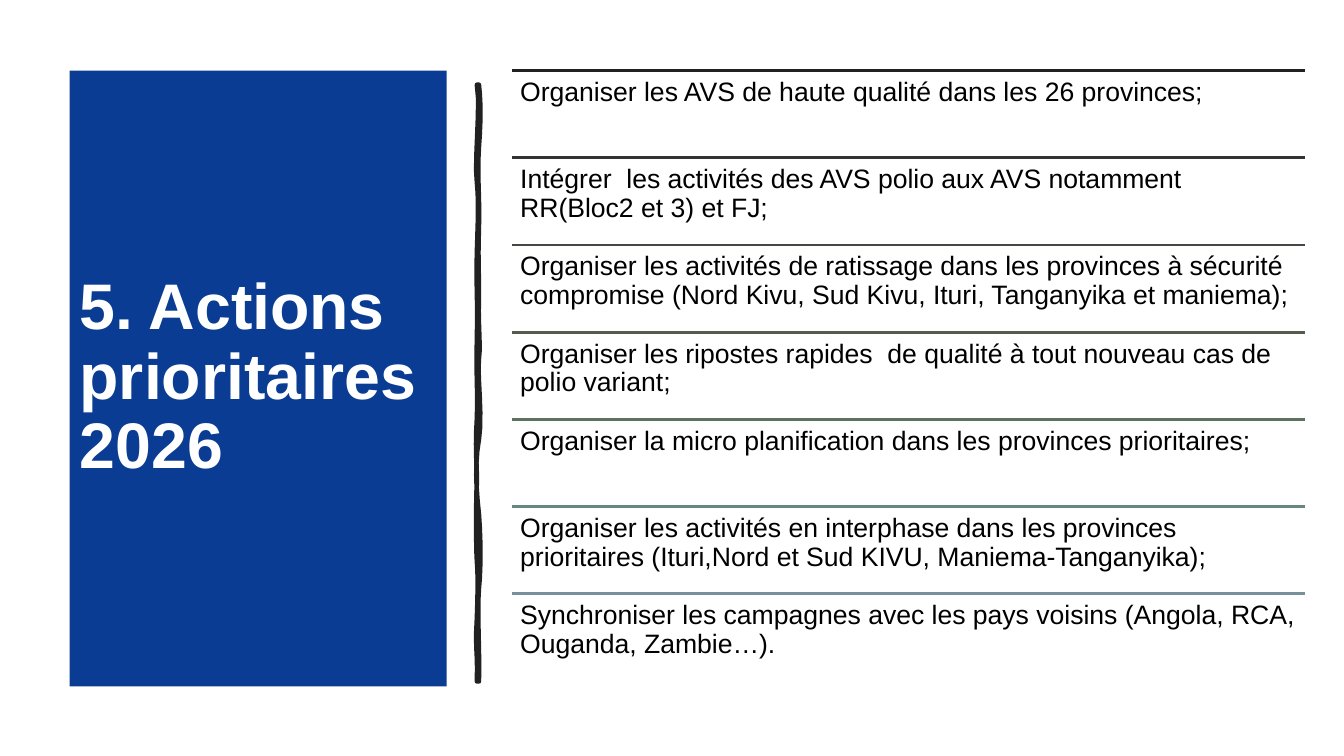
"""Build the slide listing the priority actions for 2026."""
import colorsys
from dataclasses import dataclass

import pptx
import pptx.dml.color
import pptx.enum.shapes
import pptx.enum.text
import pptx.oxml.ns
import pptx.util
from lxml import etree

Inches = pptx.util.Inches
Pt = pptx.util.Pt


@dataclass(frozen=True)
class Theme:
    """Colours, font and sizes of the slide."""
    font: str = "Arial"
    panel: str = "093C92"
    title: str = "FFFFFF"
    body: str = "000000"
    ink: str = "212121"
    title_size: int = 46
    body_size: int = 19
    rule_width: float = 2
    brush_width: float = 3.25
    line_spacing: float = 0.9


THEME = Theme()
TITLE = "5. Actions prioritaires  2026"
ACTIONS = [
    "Organiser les AVS de haute qualité dans les 26 provinces;",
    "Intégrer  les activités des AVS polio aux AVS notamment  RR(Bloc2 et 3) et FJ;",
    "Organiser les activités de ratissage dans les provinces à sécurité compromise "
    "(Nord Kivu, Sud Kivu, Ituri, Tanganyika et maniema);",
    "Organiser les ripostes rapides  de qualité à tout nouveau cas de polio variant;",
    "Organiser la micro planification dans les provinces prioritaires;",
    "Organiser les activités en interphase dans les provinces prioritaires "
    "(Ituri,Nord et Sud KIVU, Maniema-Tanganyika);",
    "Synchroniser les campagnes avec les pays voisins "
    "(Angola, RCA, Ouganda, Zambie…).",
]
LIST_LEFT, LIST_TOP, LIST_WIDTH, ROW_PITCH = 5.08, 0.7, 7.86, 0.865
LIST_INSET = 0.08

BRUSH_START = (4.75, 0.84)
BRUSH_CURVES = [
    ((4.77, 1.02), (4.77, 1.19), (4.75, 1.46)),
    ((4.73, 1.73), (4.76, 1.95), (4.75, 2.26)),
    ((4.74, 2.57), (4.75, 2.62), (4.75, 2.94)),
    ((4.74, 3.25), (4.77, 3.42), (4.75, 3.56)),
    ((4.73, 3.7), (4.79, 4.14), (4.75, 4.36)),
    ((4.71, 4.57), (4.72, 4.84), (4.75, 5.1)),
    ((4.77, 5.36), (4.77, 5.64), (4.75, 5.84)),
    ((4.73, 6.03), (4.76, 6.5), (4.75, 6.76)),
    ((4.74, 6.76), (4.73, 6.76), (4.73, 6.76)),
    ((4.74, 6.46), (4.71, 6.44), (4.73, 6.13)),
    ((4.74, 5.83), (4.74, 5.7), (4.73, 5.57)),
    ((4.72, 5.44), (4.72, 4.95), (4.73, 4.77)),
    ((4.73, 4.59), (4.71, 4.45), (4.73, 4.15)),
    ((4.74, 3.86), (4.72, 3.73), (4.73, 3.35)),
    ((4.74, 2.98), (4.72, 2.81), (4.73, 2.5)),
    ((4.74, 2.18), (4.75, 2), (4.73, 1.81)),
    ((4.7, 1.63), (4.77, 1.04), (4.73, 0.84)),
]


def colour(value):
    """Return the colour object of a hex value."""
    return pptx.dml.color.RGBColor.from_string(value)


def apply_format(target, values):
    """Set every attribute in values on the target."""
    for name, value in values.items():
        setattr(target, name, value)


def write_text(shape, text, size, text_colour, bold, frame_format):
    """Fill a shape with one left-aligned, formatted paragraph."""
    frame = shape.text_frame
    apply_format(frame, {"word_wrap": True,
                         "auto_size": pptx.enum.text.MSO_AUTO_SIZE.NONE,
                         **frame_format})
    paragraph = frame.paragraphs[0]
    paragraph.text = text
    apply_format(paragraph, {"alignment": pptx.enum.text.PP_ALIGN.LEFT,
                             "line_spacing": THEME.line_spacing,
                             "space_before": Pt(0)})
    apply_format(paragraph.font, {"name": THEME.font, "size": Pt(size), "bold": bold})
    paragraph.font.color.rgb = colour(text_colour)


def add_title_panel(slide):
    """Turn the title placeholder into the blue panel."""
    title = slide.shapes.title
    apply_format(title, {"left": Inches(0.69), "top": Inches(0.7),
                         "width": Inches(3.74), "height": Inches(6.11)})
    title.fill.solid()
    title.fill.fore_color.rgb = colour(THEME.panel)
    write_text(title, TITLE, THEME.title_size, THEME.title, True,
               {"vertical_anchor": pptx.enum.text.MSO_ANCHOR.MIDDLE})


def curve_points(start, curves, steps=6):
    """Return points along a chain of cubic curves."""
    points = []
    for first, second, end in curves:
        for step in range(1, steps + 1):
            t = step / steps
            u = 1 - t
            points.append(tuple(
                Inches(u**3 * a + 3 * u * u * t * b + 3 * u * t * t * c + t**3 * d)
                for a, b, c, d in zip(start, first, second, end)))
        start = end
    return points


def add_brush_stroke(slide):
    """Draw the hand-drawn vertical divider."""
    builder = slide.shapes.build_freeform(*map(Inches, BRUSH_START))
    builder.add_line_segments(curve_points(BRUSH_START, BRUSH_CURVES), close=True)
    stroke = builder.convert_to_shape()
    stroke.shadow.inherit = False
    stroke.fill.solid()
    stroke.fill.fore_color.rgb = colour(THEME.ink)
    stroke.line.color.rgb = colour(THEME.ink)
    stroke.line.width = Pt(THEME.brush_width)


def rule_colour(fraction):
    """Blend from near black to blue grey through hue, lightness and saturation."""
    channels = colorsys.hls_to_rgb(200 / 360 * fraction,
                                   0.13 + 0.41 * fraction, 0.15 * fraction)
    return "".join(f"{round(channel * 255):02X}" for channel in channels)


def add_rule(slide, top, line_colour):
    """Draw the line above an action."""
    rule = slide.shapes.add_connector(
        pptx.enum.shapes.MSO_CONNECTOR.STRAIGHT, Inches(LIST_LEFT), Inches(top),
        Inches(LIST_LEFT + LIST_WIDTH), Inches(top))
    rule.line.color.rgb = colour(line_colour)
    rule.line.width = Pt(THEME.rule_width)
    etree.SubElement(rule._element.spPr, pptx.oxml.ns.qn("a:effectLst"))


def add_action(slide, top, text):
    """Write one action below its line."""
    box = slide.shapes.add_textbox(Inches(LIST_LEFT), Inches(top),
                                   Inches(LIST_WIDTH), Inches(ROW_PITCH))
    insets = {f"margin_{side}": Inches(LIST_INSET)
              for side in ("left", "top", "right", "bottom")}
    write_text(box, text, THEME.body_size, THEME.body, False, insets)


def main():
    """Create and save the presentation."""
    presentation = pptx.Presentation()
    presentation.slide_width = Inches(13.33)
    presentation.slide_height = Inches(7.5)
    slide = presentation.slides.add_slide(presentation.slide_layouts[5])
    add_title_panel(slide)
    add_brush_stroke(slide)
    for index, action in enumerate(ACTIONS):
        top = LIST_TOP + index * ROW_PITCH
        add_rule(slide, top, rule_colour(index / (len(ACTIONS) - 1)))
        add_action(slide, top, action)
    presentation.save("out.pptx")


if __name__ == "__main__":
    main()
